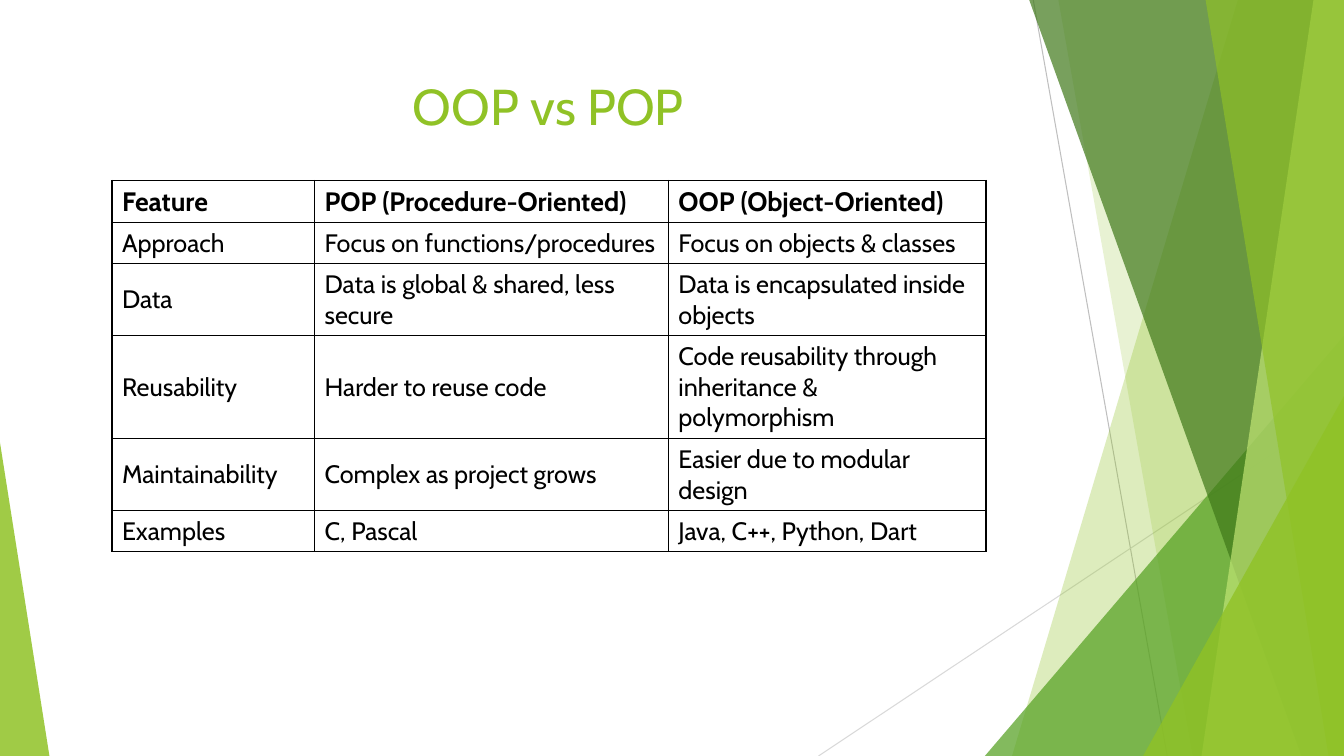
import dataclasses

import lxml.etree
import pptx
import pptx.dml.color
import pptx.enum.shapes
import pptx.enum.text
import pptx.oxml
import pptx.oxml.ns
import pptx.util

COLORS = {
    "lime": "90C226",
    "leaf": "54A021",
    "forest": "3F7819",
    "pale": "C0E474",
    "gray": "BFBFBF",
    "light_gray": "D9D9D9",
    "ink": "000000",
}
FONT = "Cabin"
COMPARISON = [
    ["Feature", "POP (Procedure-Oriented)", "OOP (Object-Oriented)"],
    ["Approach", "Focus on functions/procedures", "Focus on objects & classes"],
    ["Data", "Data is global & shared, less secure", "Data is encapsulated inside objects"],
    ["Reusability", "Harder to reuse code", "Code reusability through inheritance & polymorphism"],
    ["Maintainability", "Complex as project grows", "Easier due to modular design"],
    ["Examples", "C, Pascal", "Java, C++, Python, Dart"],
]
FEATURE_COLUMNS = [23.18, 40.48, 36.34]
FEATURE_LINES = [1, 1, 2, 3, 2, 1]


@dataclasses.dataclass
class Box:
    left: int
    top: int
    width: int
    height: int

    def x(self, percent):
        return self.left + self.w(percent)

    def y(self, percent):
        return self.top + self.h(percent)

    def w(self, percent):
        return round(self.width * percent / 100)

    def h(self, percent):
        return round(self.height * percent / 100)

    def inner(self, left, top, width, height):
        return Box(self.x(left), self.y(top), self.w(width), self.h(height))


def rgb(name):
    return pptx.dml.color.RGBColor.from_string(COLORS[name])


def paint(facet, color, opacity):
    facet.shadow.inherit = False
    facet.line.fill.background()
    facet.fill.solid()
    facet.fill.fore_color.rgb = rgb(color)
    tint = facet._element.spPr.find(".//" + pptx.oxml.ns.qn("a:srgbClr"))
    lxml.etree.SubElement(tint, pptx.oxml.ns.qn("a:alpha"), val=str(opacity * 1000))


def add_ray(slide, box, start, end, color):
    ray = slide.shapes.add_connector(
        pptx.enum.shapes.MSO_CONNECTOR.STRAIGHT,
        box.x(start[0]), box.y(start[1]), box.x(end[0]), box.y(end[1]))
    ray.line.color.rgb = rgb(color)
    ray.line.width = pptx.util.Pt(0.75)
    lxml.etree.SubElement(ray._element.spPr, pptx.oxml.ns.qn("a:effectLst"))


def add_band(slide, box, top_x, bottom_x, color, opacity):
    outline = slide.shapes.build_freeform(box.x(top_x), box.y(0))
    corners = [(100, 0), (100, 100), (bottom_x, 100)]
    outline.add_line_segments([(box.x(x), box.y(y)) for x, y in corners], close=True)
    paint(outline.convert_to_shape(), color, opacity)


def add_corner(slide, box, apex, color, opacity):
    corner = slide.shapes.add_shape(
        pptx.enum.shapes.MSO_SHAPE.ISOSCELES_TRIANGLE,
        box.left, box.top, box.width, box.height)
    corner.adjustments[0] = apex
    paint(corner, color, opacity)


def add_facets(slide, box):
    add_ray(slide, box, (76.88, 0), (86.85, 100), "gray")
    add_ray(slide, box, (100, 53.73), (60.9, 100), "light_gray")
    add_band(slide, box, 92.1, 75.3, "lime", 30)
    add_band(slide, box, 78.75, 88.73, "lime", 20)
    add_corner(slide, box.inner(73.28, 44.4, 26.72, 55.6), 1, "leaf", 72)
    add_band(slide, box, 76.58, 96.83, "forest", 70)
    add_band(slide, box, 97.73, 89.4, "pale", 70)
    add_band(slide, box, 89.7, 98.85, "lime", 65)
    add_corner(slide, box.inner(85.05, 52.4, 14.95, 47.6), 1, "lime", 80)
    add_corner(slide, box.inner(0, 58.53, 3.68, 41.47), 0, "lime", 85)


def write(frame, text, size, color, bold=False):
    frame.word_wrap = True
    run = frame.paragraphs[0].add_run()
    run.text = text
    run.font.name = FONT
    run.font.size = pptx.util.Pt(size)
    run.font.bold = bold
    run.font.color.rgb = rgb(color)


def add_title(slide, box):
    title = slide.shapes.title
    title.left, title.top, title.width, title.height = dataclasses.astuple(box)
    write(title.text_frame, "OOP vs POP", 36, "lime")
    title.text_frame.vertical_anchor = pptx.enum.text.MSO_ANCHOR.MIDDLE
    title.text_frame.paragraphs[0].alignment = pptx.enum.text.PP_ALIGN.CENTER


def outline_cell(cell):
    properties = cell._tc.get_or_add_tcPr()
    for position, side in enumerate(["lnL", "lnR", "lnT", "lnB"]):
        properties.insert(position, pptx.oxml.parse_xml(
            f'<a:{side} {pptx.oxml.ns.nsdecls("a")} w="12700"><a:solidFill>'
            f'<a:srgbClr val="{COLORS["ink"]}"/></a:solidFill></a:{side}>'))


def add_comparison(slide, box):
    table = slide.shapes.add_table(
        len(COMPARISON), len(FEATURE_COLUMNS),
        box.left, box.top, box.width, box.height).table
    table.first_row = False
    table.horz_banding = False
    for column, share in zip(table.columns, FEATURE_COLUMNS):
        column.width = box.w(share)
    line_share = (100 - 2.7 * len(FEATURE_LINES)) / sum(FEATURE_LINES)
    for row_index, (row, lines) in enumerate(zip(table.rows, FEATURE_LINES)):
        row.height = box.h(2.7 + line_share * lines)
        header = row_index == 0
        for cell, text in zip(row.cells, COMPARISON[row_index]):
            cell.vertical_anchor = pptx.enum.text.MSO_ANCHOR.MIDDLE
            cell.fill.background()
            outline_cell(cell)
            write(cell.text_frame, text, 19 if header else 18, "ink", header)


def main():
    deck = pptx.Presentation()
    deck.slide_width = pptx.util.Inches(13.33)
    deck.slide_height = pptx.util.Inches(7.5)
    page = Box(0, 0, deck.slide_width, deck.slide_height)
    slide = deck.slides.add_slide(deck.slide_layouts[5])
    add_facets(slide, page)
    add_title(slide, page.inner(5.55, 8.93, 70.5, 10.13))
    add_comparison(slide, page.inner(8.33, 23.87, 65.04, 48.93))
    deck.save("out.pptx")


if __name__ == "__main__":
    main()
